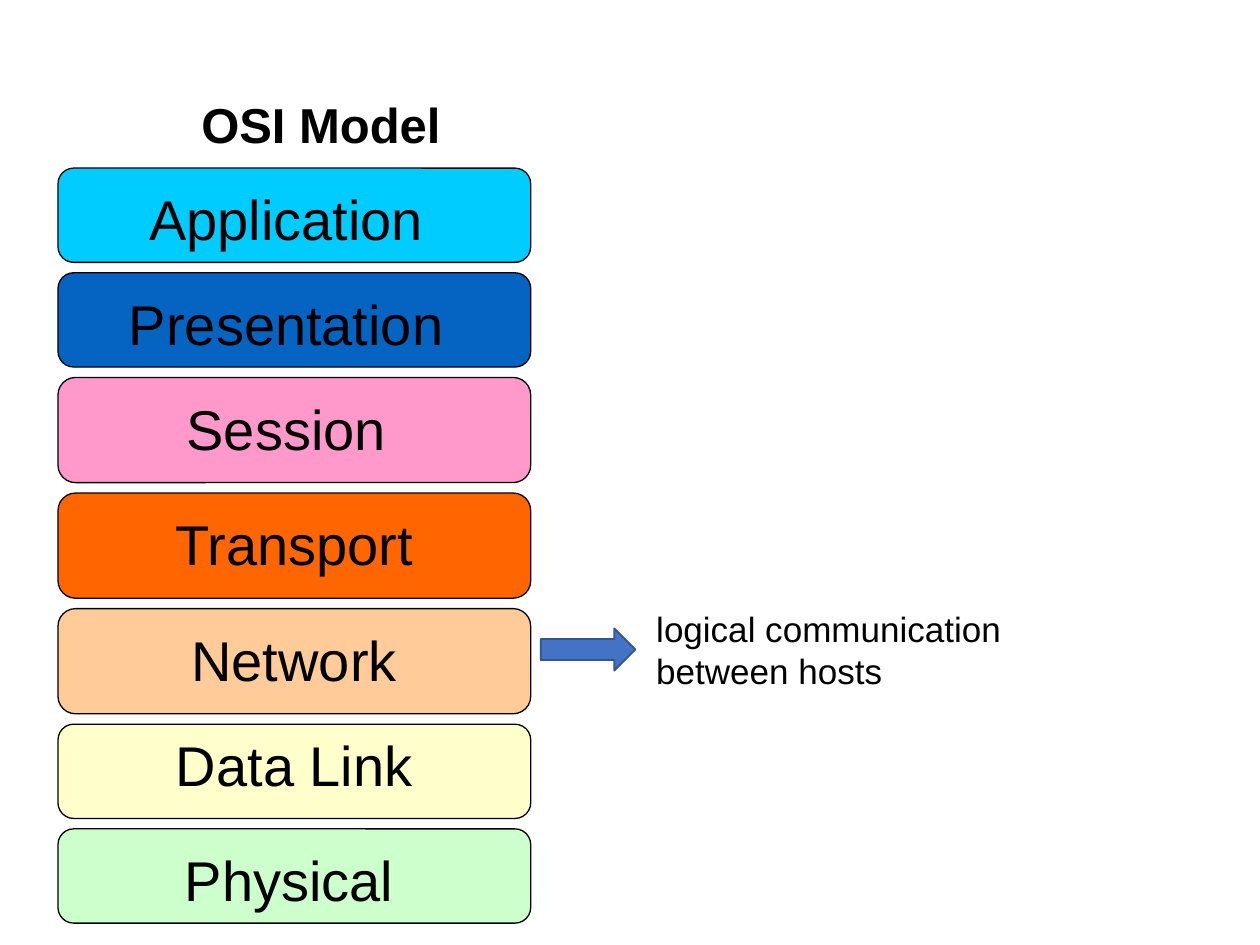
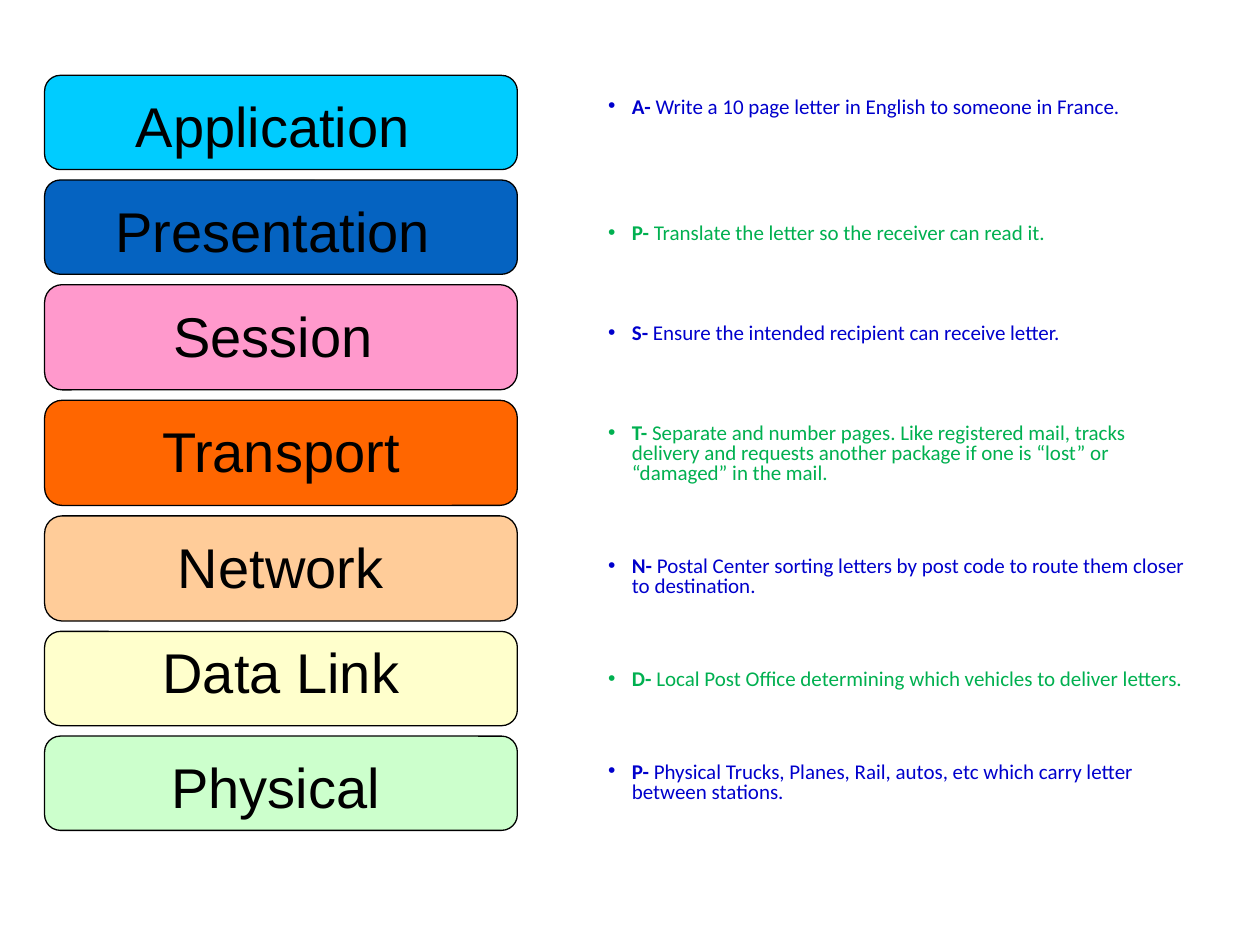
"""Builds two slides on the OSI model: the layer stack and a postal analogy."""
from lxml.etree import SubElement
from pptx import Presentation
from pptx.dml.color import RGBColor
from pptx.enum.shapes import MSO_SHAPE as Shape
from pptx.enum.text import MSO_AUTO_SIZE as AutoSize, PP_ALIGN as Align
from pptx.oxml.ns import qn
from pptx.util import Cm, Pt

COLORS = {
    "black": "000000", "arrow": "4472C4", "arrow_edge": "325491",
    "blue": "0000CC", "green": "00B050",
    "application": "00CCFF", "presentation": "0563C1", "session": "FF99CC",
    "transport": "FF6600", "network": "FFCC99", "data_link": "FFFFCC",
    "physical": "CCFFCC",
}
GAP = 0.21
LAYER_WIDTH = 9.53
LABEL_HEIGHT = 1.6
LOW, HIGH = 1.9, 2.12

# name, colour, height, label left inset, label width, label top inset
LAYERS = [
    ("Application ", "application", LOW, GAP, 9.1, GAP),
    ("Presentation ", "presentation", LOW, GAP, 9.1, GAP),
    ("Session ", "session", HIGH, GAP, 9.1, GAP),
    ("Transport", "transport", HIGH, 2 * GAP, 8.69, GAP),
    ("Network", "network", HIGH, GAP, 9.1, GAP),
    ("Data Link", "data_link", LOW, 2 * GAP, 8.69, 0),
    ("Physical", "physical", LOW, 0, 9.32, GAP),
]
STACKS = [(1.17, 3.39), (0.9, 1.52)]

# letter, sentence, space before in points
ANALOGY = [
    ("A-", " Write a 10 page letter in English to someone in France.", 0),
    ("P-", " Translate the letter so the receiver can read it.", 61),
    ("S-", " Ensure the intended recipient can receive letter.", 45.5),
    ("T-", " Separate and number pages. Like registered mail, tracks delivery and "
           "requests another package if one is “lost” or “damaged” in the mail.", 45.5),
    ("N-", " Postal Center sorting letters by post code to route them closer to "
           "destination.", 41.5),
    ("D-", " Local Post Office determining which vehicles to deliver letters.", 41.5),
    ("P-", " Physical Trucks, Planes, Rail, autos, etc which carry letter between "
           "stations.", 41.5),
]


def add_span(para, text, size, color="black", font="Arial", bold=False):
    span = para.add_run()
    span.text = text
    span.font.name = font
    span.font.size = Pt(size)
    span.font.bold = bold
    span.font.color.rgb = RGBColor.from_string(COLORS[color])


def add_box(shapes, left, top, width, height):
    box = shapes.add_textbox(Cm(left), Cm(top), Cm(width), Cm(height))
    box.text_frame.word_wrap = True
    return box.text_frame


deck = Presentation()
deck.slide_width, deck.slide_height = Cm(25.4), Cm(19.05)
pages = [deck.slides.add_slide(deck.slide_layouts[6]) for _ in STACKS]

for page, (left, top) in zip(pages, STACKS):
    stack = page.shapes.add_group_shape()
    for name, color, height, inset, label_width, drop in LAYERS:
        layer = stack.shapes.add_shape(
            Shape.ROUNDED_RECTANGLE, Cm(left), Cm(top), Cm(LAYER_WIDTH), Cm(height))
        layer.shadow.inherit = False
        layer.fill.solid()
        layer.fill.fore_color.rgb = RGBColor.from_string(COLORS[color])
        layer.line.color.rgb = RGBColor.from_string(COLORS["black"])
        layer.line.width = Pt(0.75)
        label = add_box(stack.shapes, left + inset, top + drop, label_width, LABEL_HEIGHT)
        label.auto_size = AutoSize.SHAPE_TO_FIT_TEXT
        label.paragraphs[0].alignment = Align.CENTER
        add_span(label.paragraphs[0], name, 32)
        top += height + GAP

model_page, analogy_page = pages

note = add_box(model_page.shapes, 12.98, 12.12, 9.55, 1.96)
note.auto_size = AutoSize.SHAPE_TO_FIT_TEXT
add_span(note.paragraphs[0], "logical communication between hosts", 20)

arrow = model_page.shapes.add_shape(
    Shape.RIGHT_ARROW, Cm(10.9), Cm(12.67), Cm(1.91), Cm(0.85))
arrow.shadow.inherit = False
arrow.fill.solid()
arrow.fill.fore_color.rgb = RGBColor.from_string(COLORS["arrow"])
arrow.line.color.rgb = RGBColor.from_string(COLORS["arrow_edge"])
arrow.line.width = Pt(1)

title = add_box(model_page.shapes, 2.34, 1.78, 8.26, 1.45)
title.auto_size = AutoSize.SHAPE_TO_FIT_TEXT
title.paragraphs[0].alignment = Align.CENTER
add_span(title.paragraphs[0], "OSI Model", 28, bold=True)

body = add_box(analogy_page.shapes, 12.01, 1.85, 12.27, 14.94)
for index, (letter, sentence, space) in enumerate(ANALOGY):
    para = body.add_paragraph() if index else body.paragraphs[0]
    para.line_spacing = 0.8
    para.space_before = Pt(space)
    color = "green" if index % 2 else "blue"
    add_span(para, letter, 12, color, "Calibri", bold=True)
    add_span(para, sentence, 12, color, "Calibri")
    properties = para._p.get_or_add_pPr()
    properties.set("marL", str(Cm(0.48)))
    properties.set("indent", str(-Cm(0.48)))
    SubElement(properties, qn("a:buFont"), typeface="Arial")
    SubElement(properties, qn("a:buChar"), char="•")

deck.save("out.pptx")
